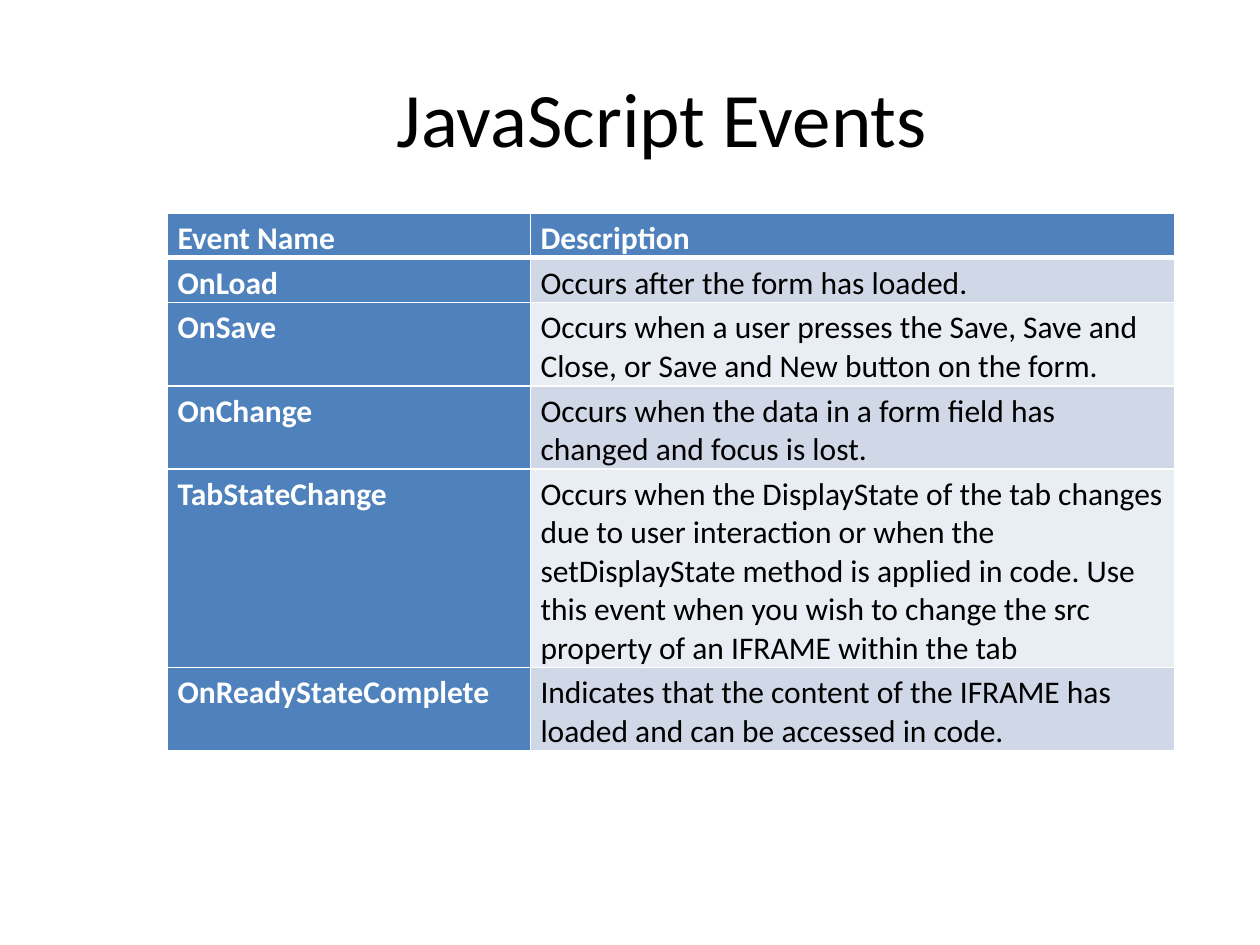
"""Build the JavaScript Events slide: a title above a two-column table."""
from lxml import etree
from pptx import Presentation
from pptx.dml.color import RGBColor
from pptx.enum.text import MSO_ANCHOR, PP_ALIGN
from pptx.oxml.ns import qn
from pptx.util import Inches, Pt

TOP, MIDDLE, CENTER = MSO_ANCHOR.TOP, MSO_ANCHOR.MIDDLE, PP_ALIGN.CENTER
BLACK = RGBColor(0x00, 0x00, 0x00)
WHITE = RGBColor(0xFF, 0xFF, 0xFF)
BLUE = RGBColor(0x4F, 0x81, 0xBD)
BANDS = (RGBColor(0xE9, 0xED, 0xF4), RGBColor(0xD0, 0xD8, 0xE8))
FONT = "Calibri"

TITLE = "JavaScript Events"
# event name, description, number of text lines
ROWS = [
    ("Event Name", "Description", 1),
    ("OnLoad", "Occurs after the form has loaded.", 1),
    ("OnSave", "Occurs when a user presses the Save, Save and Close, "
               "or Save and New button on the form.", 2),
    ("OnChange", "Occurs when the data in a form field has changed "
                 "and focus is lost.", 2),
    ("TabStateChange", "Occurs when the DisplayState of the tab changes due to "
                       "user interaction or when the setDisplayState method is "
                       "applied in code. Use this event when you wish to change "
                       "the src property of an IFRAME within the tab", 5),
    ("OnReadyStateComplete", "Indicates that the content of the IFRAME has "
                             "loaded and can be accessed in code.", 2),
]
COL_WIDTHS = (2.88, 5.11)
LINE_HEIGHT, CELL_PAD = 0.3, 0.05


def add_run(p, text, size, color, bold=False):
    r = p.add_run()
    r.text = text
    r.font.name, r.font.size, r.font.bold = FONT, Pt(size), bold
    r.font.color.rgb = color


def set_borders(cell, widths):
    tc_pr = cell._tc.get_or_add_tcPr()
    for side, width in zip("LRTB", widths):
        ln = etree.SubElement(tc_pr, qn(f"a:ln{side}"), w=str(Pt(width)))
        fill = etree.SubElement(ln, qn("a:solidFill"))
        etree.SubElement(fill, qn("a:srgbClr"), val=str(WHITE))


def fill_cell(cell, text, row, col):
    heading = row == 0 or col == 0
    set_borders(cell, (1, 1, 3 if row == 1 else 1, 3 if row == 0 else 1))
    cell.fill.solid()
    cell.fill.fore_color.rgb = BLUE if heading else BANDS[row % 2]
    cell.margin_left = cell.margin_right = Inches(0.08)
    cell.margin_top, cell.margin_bottom = Inches(CELL_PAD), 0
    cell.vertical_anchor = MIDDLE if col else TOP
    add_run(cell.text_frame.paragraphs[0], text, 18,
            WHITE if heading else BLACK, heading)


def main():
    prs = Presentation()
    prs.slide_width, prs.slide_height = Inches(10), Inches(7.5)
    s = prs.slides.add_slide(prs.slide_layouts[5])

    title = s.shapes.title
    title.left, title.top = Inches(1.01), Inches(0.3)
    title.width, title.height = Inches(8.49), Inches(1.25)
    tf = title.text_frame
    tf.vertical_anchor = MIDDLE
    p = tf.paragraphs[0]
    p.alignment = CENTER
    add_run(p, TITLE, 44, BLACK)

    heights = [lines * LINE_HEIGHT + CELL_PAD for *_, lines in ROWS]
    table = s.shapes.add_table(
        len(ROWS), len(COL_WIDTHS), Inches(1.33), Inches(1.69),
        Inches(sum(COL_WIDTHS)), Inches(sum(heights))).table
    for column, width in zip(table.columns, COL_WIDTHS):
        column.width = Inches(width)
    for i, (name, description, _) in enumerate(ROWS):
        table.rows[i].height = Inches(heights[i])
        for j, text in enumerate((name, description)):
            fill_cell(table.cell(i, j), text, i, j)

    prs.save("out.pptx")


if __name__ == "__main__":
    main()
